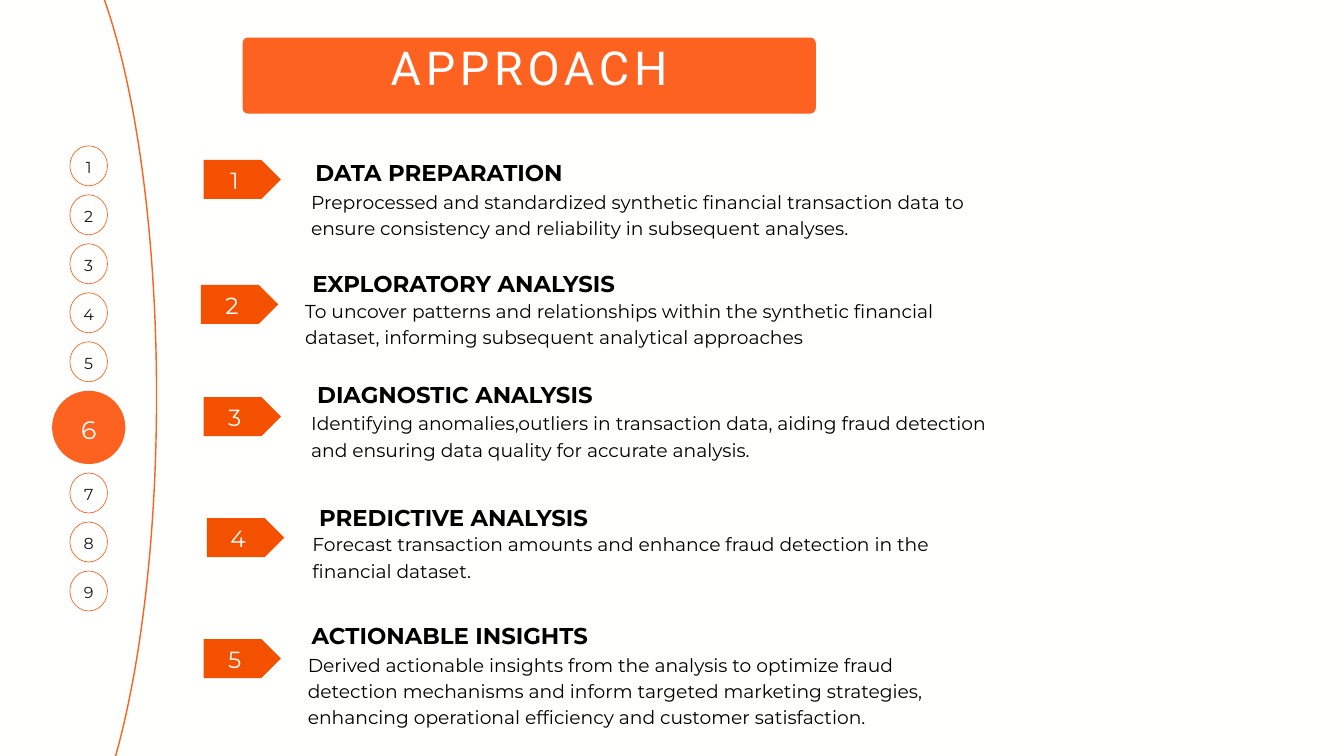
from dataclasses import dataclass

import pptx
import pptx.dml.color
import pptx.enum.shapes
import pptx.enum.text
import pptx.util

SHAPES = pptx.enum.shapes.MSO_SHAPE
ALIGN = pptx.enum.text.PP_ALIGN
ANCHOR = pptx.enum.text.MSO_ANCHOR
AUTO_SIZE = pptx.enum.text.MSO_AUTO_SIZE

COLORS = {
    "paper": "FFFFFE", "orange": "FD6220", "marker": "F35000",
    "white": "FFFFFF", "ink": "000000", "page": "191919",
}

# The slide is a grid of square cells, 200 columns by 112.5 rows
COLUMNS, ROWS = 200, 112.5
CELL = pptx.util.Inches(20) / COLUMNS


@dataclass(frozen=True)
class Box:
    left: float
    top: float
    width: float
    height: float

    def emu(self) -> list[int]:
        return [round(v * CELL) for v in (self.left, self.top, self.width, self.height)]


@dataclass(frozen=True)
class Step:
    marker: tuple[float, float]
    heading_at: tuple[float, float]
    heading_width: float
    body_at: tuple[float, float]
    heading: str
    body: str
    body_height: float = 7.6


STEPS = [
    Step((30.3, 23.8), (46.3, 22.8), 38.1, (46.3, 27.8), "DATA PREPARATION",
         "Preprocessed and standardized synthetic financial transaction data to "
         "ensure consistency and reliability in subsequent analyses."),
    Step((29.9, 42.4), (45.4, 39.4), 47.2, (45.4, 44.1), "EXPLORATORY ANALYSIS",
         "To uncover patterns and relationships within the synthetic financial "
         "dataset, informing subsequent analytical approaches"),
    Step((30.3, 59.1), (46.3, 55.8), 42.8, (46.3, 60.8), "DIAGNOSTIC ANALYSIS",
         "Identifying anomalies,outliers in transaction data, aiding fraud detection "
         "and ensuring data quality for accurate analysis."),
    Step((30.8, 77.1), (46.1, 74.2), 42.8, (46.5, 78.8), "PREDICTIVE ANALYSIS",
         "Forecast transaction amounts and enhance fraud detection in the "
         "financial dataset."),
    Step((30.3, 95.1), (45.8, 91.8), 42.3, (45.8, 96.7), "ACTIONABLE INSIGHTS",
         "Derived actionable insights from the analysis to optimize fraud "
         "detection mechanisms and inform targeted marketing strategies, "
         "enhancing operational efficiency and customer satisfaction.", 11.5),
]

PAGE_COUNT, CURRENT_PAGE = 9, 6
PAGE_CENTER, FIRST_PAGE_TOP, PAGE_GAP = 13.2, 21.7, 1.34


def rgb(name: str) -> pptx.dml.color.RGBColor:
    return pptx.dml.color.RGBColor.from_string(COLORS[name])


def write(shape, text: str, *, size: float, leading: float, color: str = "ink",
          font: str = "Montserrat", bold: bool = False, align=ALIGN.CENTER,
          anchor=ANCHOR.TOP, insets=(0, 0, 0, 0), tracking: float = 0) -> None:
    """Set one paragraph of text; insets are left, top, right, bottom in cells."""
    frame = shape.text_frame
    frame.word_wrap = True
    frame.auto_size = AUTO_SIZE.NONE
    frame.vertical_anchor = anchor
    (frame.margin_left, frame.margin_top,
     frame.margin_right, frame.margin_bottom) = [round(v * CELL) for v in insets]
    paragraph = frame.paragraphs[0]
    paragraph.alignment = align
    paragraph.line_spacing = pptx.util.Pt(leading)
    run = paragraph.add_run()
    run.text = text
    run.font.name = font
    run.font.size = pptx.util.Pt(size)
    run.font.bold = bold
    run.font.color.rgb = rgb(color)
    if tracking:
        run.font._element.set("spc", str(round(tracking * 100)))


def add_shape(slide, kind, box: Box, fill: str | None = None,
              line: str | None = None, line_width: float = 0.75):
    shape = slide.shapes.add_shape(kind, *box.emu())
    shape.shadow.inherit = False
    if fill:
        shape.fill.solid()
        shape.fill.fore_color.rgb = rgb(fill)
    else:
        shape.fill.background()
    if line:
        shape.line.color.rgb = rgb(line)
        shape.line.width = pptx.util.Pt(line_width)
    else:
        shape.line.fill.background()
    return shape


def add_title(slide) -> None:
    title = slide.shapes.title
    title.left, title.top, title.width, title.height = Box(36.1, 1.7, 85.3, 15.2).emu()
    write(title, "APPROACH", size=50.1, leading=69.1, color="white", font="Roboto",
          anchor=ANCHOR.MIDDLE, insets=(0.6,) * 4, tracking=5.1)
    banner = add_shape(slide, SHAPES.ROUNDED_RECTANGLE, Box(36.1, 5.6, 85.3, 11.3), "orange")
    banner.adjustments[0] = 0.07
    title._element.addprevious(banner._element)  # the banner lies behind the title


def add_page_numbers(slide) -> None:
    top = FIRST_PAGE_TOP
    for page in range(1, PAGE_COUNT + 1):
        current = page == CURRENT_PAGE
        width, height = (10.9, 10.9) if current else (5.6, 5.95)
        circle = add_shape(slide, SHAPES.OVAL,
                           Box(PAGE_CENTER - width / 2, top, width, height),
                           "orange" if current else "paper",
                           None if current else "orange")
        write(circle, str(page), size=27 if current else 17,
              leading=37.8 if current else 23.8,
              color="paper" if current else "page", anchor=ANCHOR.MIDDLE)
        top += height + PAGE_GAP


def add_step(slide, number: int, step: Step) -> None:
    marker = add_shape(slide, SHAPES.PENTAGON, Box(*step.marker, 11.5, 5.8), "marker")
    write(marker, str(number), size=25, leading=35, color="paper",
          anchor=ANCHOR.MIDDLE, insets=(0, 0, 0.8, 0.5))
    heading = slide.shapes.add_textbox(*Box(*step.heading_at, step.heading_width, 4.6).emu())
    write(heading, step.heading, size=24.5, leading=35, bold=True)
    body = slide.shapes.add_textbox(*Box(*step.body_at, 100.8, step.body_height).emu())
    write(body, step.body, size=20, leading=28, align=ALIGN.LEFT)


def main() -> None:
    deck = pptx.Presentation()
    deck.slide_width, deck.slide_height = round(COLUMNS * CELL), round(ROWS * CELL)
    slide = deck.slides.add_slide(deck.slide_layouts[5])
    slide.background.fill.solid()
    slide.background.fill.fore_color.rgb = rgb("paper")

    # Large arc and page numbers on the left
    add_shape(slide, SHAPES.OVAL, Box(-15, -14.4, 38.3, 146.6), line="orange", line_width=1.5)
    add_page_numbers(slide)

    # Title banner
    add_title(slide)

    # Five steps of the approach
    for number, step in enumerate(STEPS, start=1):
        add_step(slide, number, step)

    deck.save("out.pptx")


if __name__ == "__main__":
    main()
